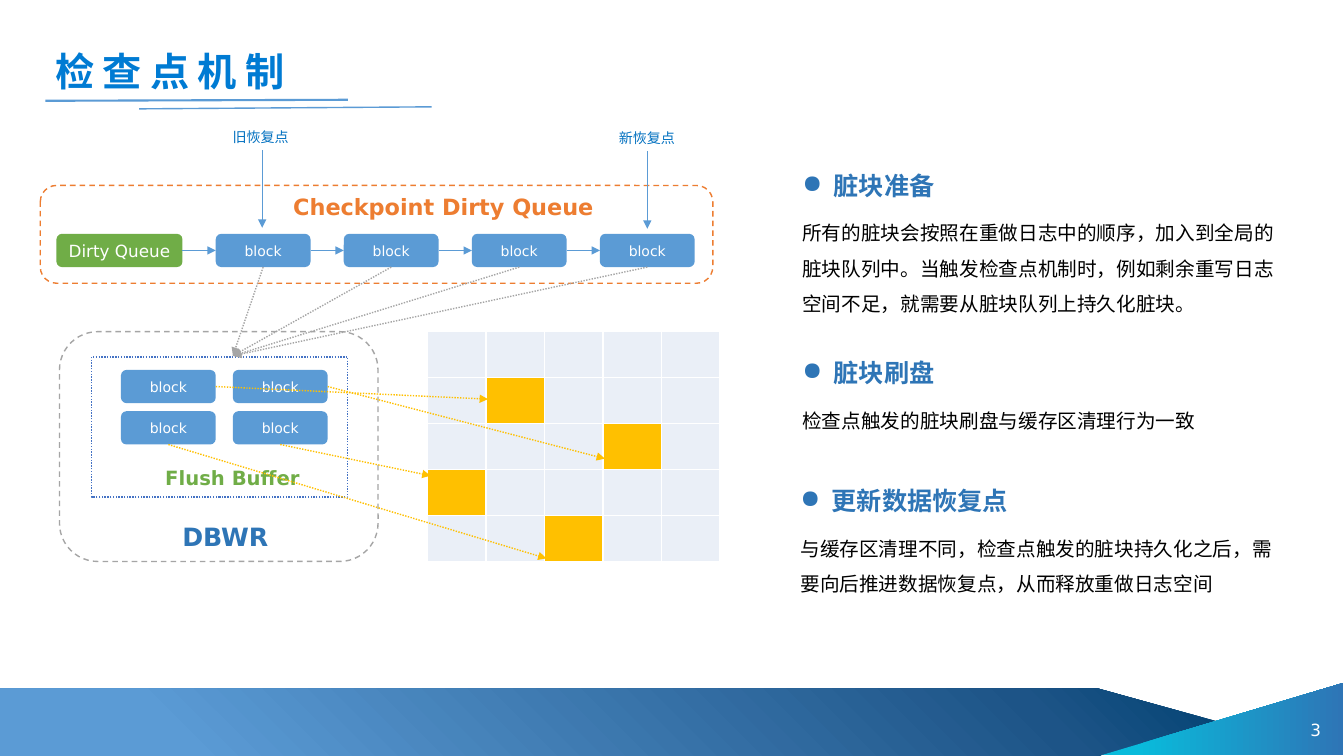
"""Build the checkpoint mechanism slide."""
from dataclasses import dataclass
from typing import Any, Optional

from lxml import etree
from pptx import Presentation
from pptx.dml.color import RGBColor
from pptx.enum import dml, shapes as sh, text as tx
from pptx.oxml import ns
from pptx.util import Inches, Pt

WHITE = RGBColor(0xFF, 0xFF, 0xFF)
BLACK = RGBColor(0x00, 0x00, 0x00)
BLUE = RGBColor(0x5B, 0x9B, 0xD5)
DEEP = RGBColor(0x2E, 0x75, 0xB6)
ROYAL = RGBColor(0x44, 0x72, 0xC4)
AZURE = RGBColor(0x00, 0x70, 0xC0)
SKY = RGBColor(0x00, 0x7B, 0xD3)
NAVY = RGBColor(0x03, 0x43, 0x73)
STEEL = RGBColor(0x1D, 0x54, 0x87)
CYAN = RGBColor(0x09, 0xBB, 0xDB)
GREEN = RGBColor(0x70, 0xAD, 0x47)
ORANGE = RGBColor(0xED, 0x7D, 0x31)
GOLD = RGBColor(0xFF, 0xC0, 0x00)
GRAY = RGBColor(0xA5, 0xA5, 0xA5)
PALE = RGBColor(0xEA, 0xEF, 0xF7)
FONT = "DejaVu Sans"
ROUND = sh.MSO_SHAPE.ROUNDED_RECTANGLE
DASH = dml.MSO_LINE.DASH
DOTS = dml.MSO_LINE.ROUND_DOT
TOP, MID = tx.MSO_ANCHOR.TOP, tx.MSO_ANCHOR.MIDDLE
LEFT, CENTER, RIGHT = tx.PP_ALIGN.LEFT, tx.PP_ALIGN.CENTER, tx.PP_ALIGN.RIGHT
BOTTOM, EAST, WEST = 2, 3, 1


@dataclass
class Pen:
    """Line colour, width, dash and arrowhead."""
    color: RGBColor
    width: float = 1
    dash: Any = None
    arrow: bool = True


@dataclass
class Type:
    """Text size, colour and paragraph setting."""
    size: float
    color: RGBColor
    bold: bool = False
    align: Any = LEFT
    lead: Optional[float] = None
    bullet: bool = False


@dataclass
class Topic:
    """Heading and body placed on the right."""
    left: float
    top: float
    wide: float
    high: float
    head: str
    body: str


def add(node: Any, tag: str, **attrs: Any) -> Any:
    """Append a drawing element to a node."""
    return etree.SubElement(node, ns.qn(tag), {k: str(v) for k, v in attrs.items()})


def blend(node: Any, spot: int, stops: list, angle: Optional[int] = None) -> None:
    """Insert a linear or corner gradient in a node."""
    grad = etree.Element(ns.qn("a:gradFill"), {"rotWithShape": "1"})
    ramp = add(grad, "a:gsLst")
    for pos, color in stops:
        add(add(ramp, "a:gs", pos=pos * 1000), "a:srgbClr", val=color)
    if angle is None:
        ray = add(grad, "a:path", path="circle")
        add(ray, "a:fillToRect", t=100000, r=100000)
    else:
        add(grad, "a:lin", ang=angle * 60000, scaled=0)
    node.insert(spot, grad)


def write(item: Any, words: str, kind: Type, anchor: Any = TOP, wrap: bool = True) -> None:
    """Set one paragraph of text in a shape."""
    frame = item.text_frame
    frame.word_wrap, frame.vertical_anchor = wrap, anchor
    para = frame.paragraphs[0]
    para.alignment = kind.align
    if kind.lead:
        para.line_spacing = kind.lead
    if kind.bullet:
        prop = next(item.element.iter(ns.qn("a:pPr")))
        prop.set("marL", str(Inches(0.31)))
        prop.set("indent", str(Inches(-0.31)))
        add(prop, "a:buChar", char="●")
    run = para.add_run()
    run.text = words
    run.font.name, run.font.size, run.font.bold = FONT, Pt(kind.size), kind.bold
    run.font.color.rgb = kind.color


def label(host: Any, x: float, y: float, w: float, h: float, words: str,
          kind: Type, anchor: Any = TOP, wrap: bool = True) -> Any:
    """Add a text box."""
    box = host.add_textbox(Inches(x), Inches(y), Inches(w), Inches(h))
    write(box, words, kind, anchor, wrap)
    return box


def panel(host: Any, x: float, y: float, w: float, h: float, form: Any = ROUND,
          fill: Optional[RGBColor] = WHITE, pen: Optional[Pen] = None) -> Any:
    """Add a preset shape."""
    item = host.add_shape(form, Inches(x), Inches(y), Inches(w), Inches(h))
    item.shadow.inherit = False
    if fill is not None:
        item.fill.solid()
        item.fill.fore_color.rgb = fill
    if pen:
        stroke(item, pen)
    else:
        item.line.fill.background()
    return item


def stroke(item: Any, pen: Pen) -> None:
    """Set the outline of a shape or connector."""
    item.line.color.rgb, item.line.width = pen.color, Pt(pen.width)
    if pen.dash:
        item.line.dash_style = pen.dash


def block(host: Any, x: float, y: float) -> Any:
    """Add one data block."""
    item = panel(host, x, y, 0.94, 0.33, fill=BLUE)
    write(item, "block", Type(10, WHITE, align=CENTER), MID)
    return item


def link(host: Any, start: tuple, end: tuple, pen: Pen) -> None:
    """Draw a line between points or (shape, side) pairs."""
    spots = [(Inches(0), Inches(0)) if hasattr(p[0], "shape_id")
             else (Inches(p[0]), Inches(p[1])) for p in (start, end)]
    line = host.add_connector(sh.MSO_CONNECTOR.STRAIGHT, *spots[0], *spots[1])
    for place, join in ((start, line.begin_connect), (end, line.end_connect)):
        if hasattr(place[0], "shape_id"):
            join(*place)
    stroke(line, pen)
    prop = line.element.spPr
    if pen.arrow:
        add(prop.find(ns.qn("a:ln")), "a:tailEnd", type="triangle")
    add(prop, "a:effectLst")


def grid(host: Any) -> None:
    """Add the disk grid with its written cells."""
    frame = host.add_table(5, 5, Inches(4.24), Inches(3.29), Inches(2.9), Inches(2.28))
    table = frame.table
    table.first_row = table.horz_banding = False
    for prop in frame.element.iter(ns.qn("a:tcPr")):
        for side in ("L", "R", "T", "B"):
            edge = add(prop, f"a:ln{side}", w=Pt(1))
            add(add(edge, "a:solidFill"), "a:srgbClr", val=WHITE)
    for r, row in enumerate(table.rows):
        row.height = Inches(2.28 / 5)
        for c, cell in enumerate(row.cells):
            cell.fill.solid()
            hit = (r, c) in {(1, 1), (2, 3), (3, 0), (4, 2)}
            cell.fill.fore_color.rgb = GOLD if hit else PALE


def frame(host: Any) -> None:
    """Add footer, title and page number."""
    band = panel(host, 0, 6.83, 12.1, 0.67, sh.MSO_SHAPE.PENTAGON, None)
    band.adjustments[0] = 1.81
    blend(band.element.spPr, 2, [(15, BLUE), (84, STEEL), (100, NAVY)])
    wedge = panel(host, 11.76, 5.93, 0.72, 2.41, sh.MSO_SHAPE.RIGHT_TRIANGLE, None)
    wedge.rotation = 270
    blend(wedge.element.spPr, 2, [(15, CYAN), (100, DEEP)], 90)
    title = label(host, 0.45, 0.41, 2.58, 0.58, "检查点机制", Type(28, SKY, True), MID, False)
    prop = next(title.element.iter(ns.qn("a:rPr")))
    prop.set("spc", "600")
    prop.remove(prop.find(ns.qn("a:solidFill")))
    blend(prop, 0, [(0, SKY), (100, NAVY)], 0)
    label(host, 12.53, 7.04, 0.67, 0.4, "3", Type(12, WHITE, align=RIGHT), MID)
    link(host, (0.45, 1), (3.45, 0.99), Pen(BLUE, 1.5, arrow=False))
    link(host, (1.38, 1.08), (4.28, 1.06), Pen(BLUE, arrow=False))


def flow(host: Any) -> None:
    """Draw the queue, the buffer and the disk."""
    thin = Pen(BLUE, 0.5)
    panel(host, 0.4, 1.84, 6.67, 0.97, pen=Pen(ORANGE, dash=DASH))
    queue = panel(host, 0.56, 2.32, 1.25, 0.33, fill=GREEN)
    write(queue, "Dirty Queue", Type(12, WHITE, align=CENTER), MID)
    chain = [queue] + [block(host, 2.14 + 1.27 * i, 2.32) for i in range(4)]
    for prev, item in zip(chain, chain[1:]):
        link(host, (prev, EAST), (item, WEST), thin)
    panel(host, 0.59, 3.29, 3.16, 2.28, pen=Pen(GRAY, dash=DASH))
    grid(host)
    label(host, 2.81, 1.9, 3.31, 0.46, "Checkpoint Dirty Queue", Type(16, ORANGE, True, lead=0.9))
    label(host, 1.52, 4.97, 1.43, 0.5, "DBWR", Type(18, DEEP, True, CENTER, 1.5))
    panel(host, 0.91, 3.54, 2.54, 1.39, sh.MSO_SHAPE.RECTANGLE, pen=Pen(ROYAL, dash=DOTS))
    cells = [block(host, x, y) for x in (1.2, 2.31) for y in (3.67, 4.08)]
    label(host, 1.54, 4.57, 1.64, 0.34, "Flush Buffer", Type(14, GREEN, True))
    for item in chain[1:]:
        link(host, (item, BOTTOM), (2.31, 3.53), Pen(GRAY, dash=DOTS))
    goals = [(EAST, (4.84, 3.96)), (BOTTOM, (5.42, 5.54)),
             (EAST, (6, 4.55)), (BOTTOM, (4.27, 4.72))]
    for item, (side, goal) in zip(cells, goals):
        link(host, (item, side), goal, Pen(GOLD, dash=DOTS))
    for x, y, left, words in ((2.6, 1.49, 2.21, "旧恢复点"), (6.42, 1.5, 6.04, "新恢复点")):
        link(host, (x, y), (x, y + 0.77), thin)
        label(host, left, y - 0.26, 0.9, 0.27, words, Type(10, AZURE))


def main() -> None:
    """Assemble and save the slide."""
    deck = Presentation()
    deck.slide_width, deck.slide_height = Inches(13.33), Inches(7.5)
    host = deck.slides.add_slide(deck.slide_layouts[6]).shapes
    frame(host)
    flow(host)
    for t in (
        Topic(7.86, 1.49, 5.06, 1.12, "脏块准备", "所有的脏块会按照在重做日志中的顺序，加入到全局的脏块队列中。当触发检查点机制时，例如剩余重写日志空间不足，就需要从脏块队列上持久化脏块。"),
        Topic(7.86, 3.35, 4.9, 0.41, "脏块刷盘", "检查点触发的脏块刷盘与缓存区清理行为一致"),
        Topic(7.84, 4.62, 4.9, 0.77, "更新数据恢复点", "与缓存区清理不同，检查点触发的脏块持久化之后，需要向后推进数据恢复点，从而释放重做日志空间"),
    ):
        group = host.add_group_shape().shapes
        label(group, t.left, t.top + 0.54, t.wide, t.high, t.body, Type(14, BLACK, lead=1.5))
        label(group, t.left, t.top, 3.42, 0.5, t.head, Type(18, DEEP, True, lead=1.5, bullet=True))
    deck.save("out.pptx")


if __name__ == "__main__":
    main()
